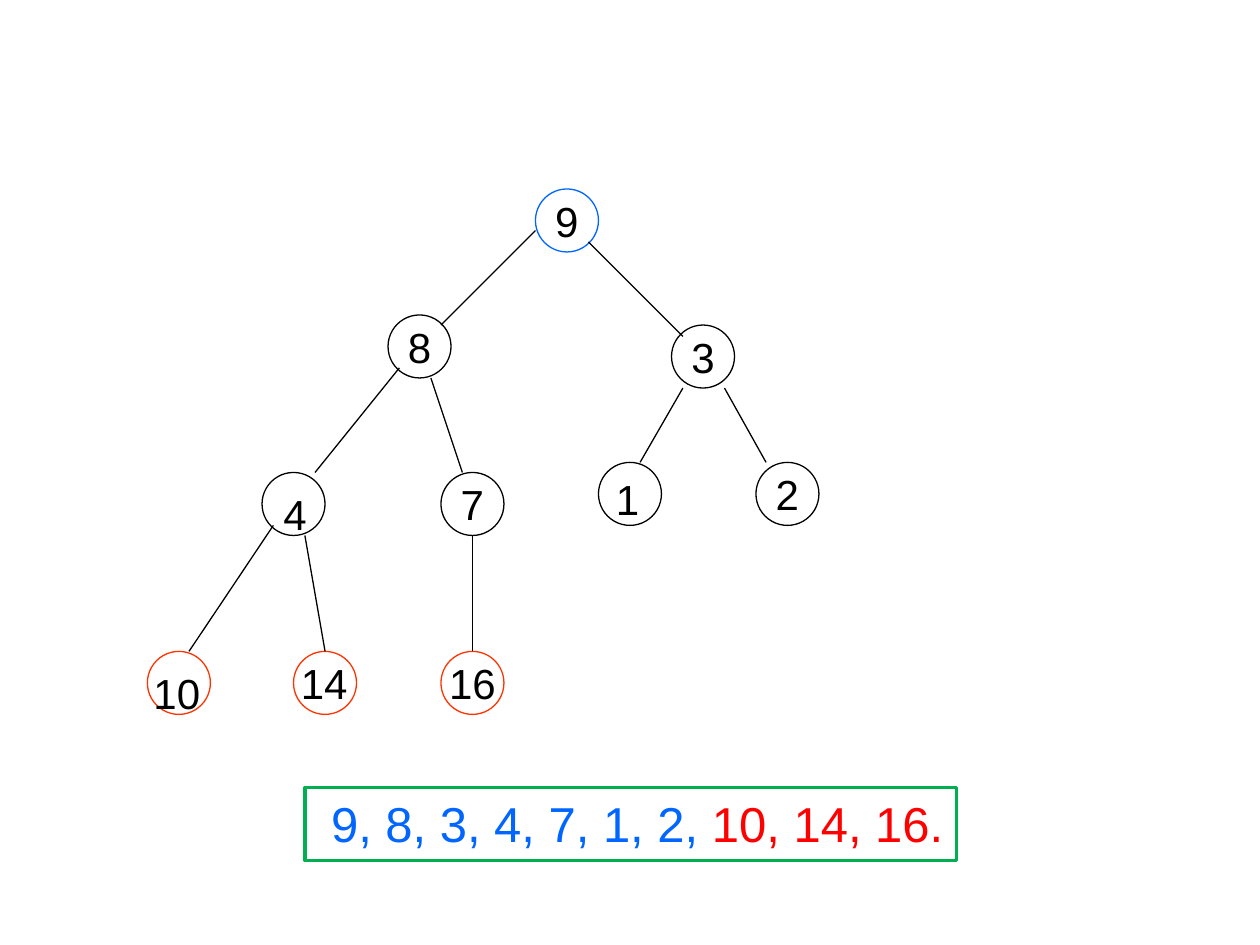
from dataclasses import dataclass

from lxml.etree import SubElement
from pptx import Presentation
from pptx.dml.color import RGBColor
from pptx.enum.shapes import MSO_CONNECTOR, MSO_SHAPE
from pptx.enum.text import MSO_ANCHOR, PP_ALIGN
from pptx.oxml.ns import qn
from pptx.util import Inches, Pt


@dataclass(frozen=True)
class Theme:
    font: str = "Arial"
    ink: str = "000000"
    root: str = "0066FF"
    sorted_ring: str = "FF3300"
    sorted_text: str = "FF0000"
    frame: str = "00B050"
    key_size: int = 24
    order_size: int = 28
    thin: float = 0.75
    thick: float = 2


THEME = Theme()
DIAMETER = 0.5


@dataclass(frozen=True)
class Node:
    left: float
    top: float
    ring: str = THEME.ink
    label_box: tuple = ()


HEAP = {
    "9": Node(3.08, 0, THEME.root),
    "8": Node(1.91, 1),
    "3": Node(4.16, 1.08),
    "4": Node(0.91, 2.25, label_box=(0.07, 0.08, 0.38)),
    "7": Node(2.33, 2.25),
    "1": Node(3.58, 2.17, label_box=(0.04, 0.04, 0.38)),
    "2": Node(4.83, 2.17),
    "10": Node(0, 3.67, THEME.sorted_ring, (-0.05, 0.08, 0.57)),
    "14": Node(1.16, 3.67, THEME.sorted_ring, (-0.04, 0, 0.57)),
    "16": Node(2.33, 3.67, THEME.sorted_ring),
}

EDGES = [
    ("9", (0, 0.33), "8", (0.42, 0.08)),
    ("9", (0.42, 0.42), "3", (0.09, 0.09)),
    ("8", (0.09, 0.42), "4", (0.42, 0)),
    ("8", (0.34, 0.5), "7", (0.17, 0)),
    ("3", (0.09, 0.5), "1", (0.33, 0)),
    ("3", (0.42, 0.5), "2", (0.08, 0)),
    ("4", (0.09, 0.42), "10", (0.33, 0)),
    ("4", (0.34, 0.5), "14", (0.25, 0)),
    ("7", (0.25, 0.5), "16", (0.25, 0)),
]


def write(frame, *runs, size, align=PP_ALIGN.LEFT, anchor=MSO_ANCHOR.TOP):
    frame.word_wrap = False
    frame.vertical_anchor = anchor
    paragraph = frame.paragraphs[0]
    paragraph.alignment = align
    for text, color in runs:
        run = paragraph.add_run()
        run.text = text
        run.font.name = THEME.font
        run.font.size = Pt(size)
        run.font.color.rgb = RGBColor.from_string(color)


def outline(slide, kind, left, top, width, height, color, weight):
    shape = slide.shapes.add_shape(
        kind, Inches(left), Inches(top), Inches(width), Inches(height))
    shape.shadow.inherit = False
    shape.fill.background()
    shape.line.color.rgb = RGBColor.from_string(color)
    shape.line.width = Pt(weight)
    return shape


def text_box(slide, left, top, width, height):
    return slide.shapes.add_textbox(
        Inches(left), Inches(top), Inches(width), Inches(height)).text_frame


def add_node(slide, key, node, left, top):
    circle = outline(slide, MSO_SHAPE.OVAL, left, top, DIAMETER, DIAMETER,
                     node.ring, THEME.thin)
    if node.label_box:
        dx, dy, width = node.label_box
        label = text_box(slide, left + dx, top + dy, width, DIAMETER)
        write(label, (key, THEME.ink), size=THEME.key_size)
    else:
        write(circle.text_frame, (key, THEME.ink), size=THEME.key_size,
              align=PP_ALIGN.CENTER, anchor=MSO_ANCHOR.MIDDLE)


def add_edge(slide, start, end):
    edge = slide.shapes.add_connector(
        MSO_CONNECTOR.STRAIGHT, *map(Inches, (*start, *end)))
    edge.line.color.rgb = RGBColor.from_string(THEME.ink)
    edge.line.width = Pt(THEME.thin)
    SubElement(edge._element.spPr, qn("a:effectLst"))


def heap_tree(slide, left, top):
    def point(key, offset):
        node = HEAP[key]
        return left + node.left + offset[0], top + node.top + offset[1]

    for key, node in HEAP.items():
        add_node(slide, key, node, *point(key, (0, 0)))
    for parent, leaving, child, arriving in EDGES:
        add_edge(slide, point(parent, leaving), point(child, arriving))


def array_order(slide, left, top, width, height):
    indent = 0.11
    order = text_box(slide, left + indent, top, width - indent, height)
    write(order, ("9, 8, 3, 4, 7, 1, 2, ", THEME.root),
          ("10, 14, 16.", THEME.sorted_text), size=THEME.order_size)
    outline(slide, MSO_SHAPE.RECTANGLE, left, top, width, height,
            THEME.frame, THEME.thick)


def main():
    deck = Presentation()
    deck.slide_width, deck.slide_height = Inches(10), Inches(7.5)
    slide = deck.slides.add_slide(deck.slide_layouts.get_by_name("Blank"))
    heap_tree(slide, left=1.17, top=1.5)
    array_order(slide, left=2.42, top=6.25, width=5.17, height=0.58)
    deck.save("out.pptx")


if __name__ == "__main__":
    main()
